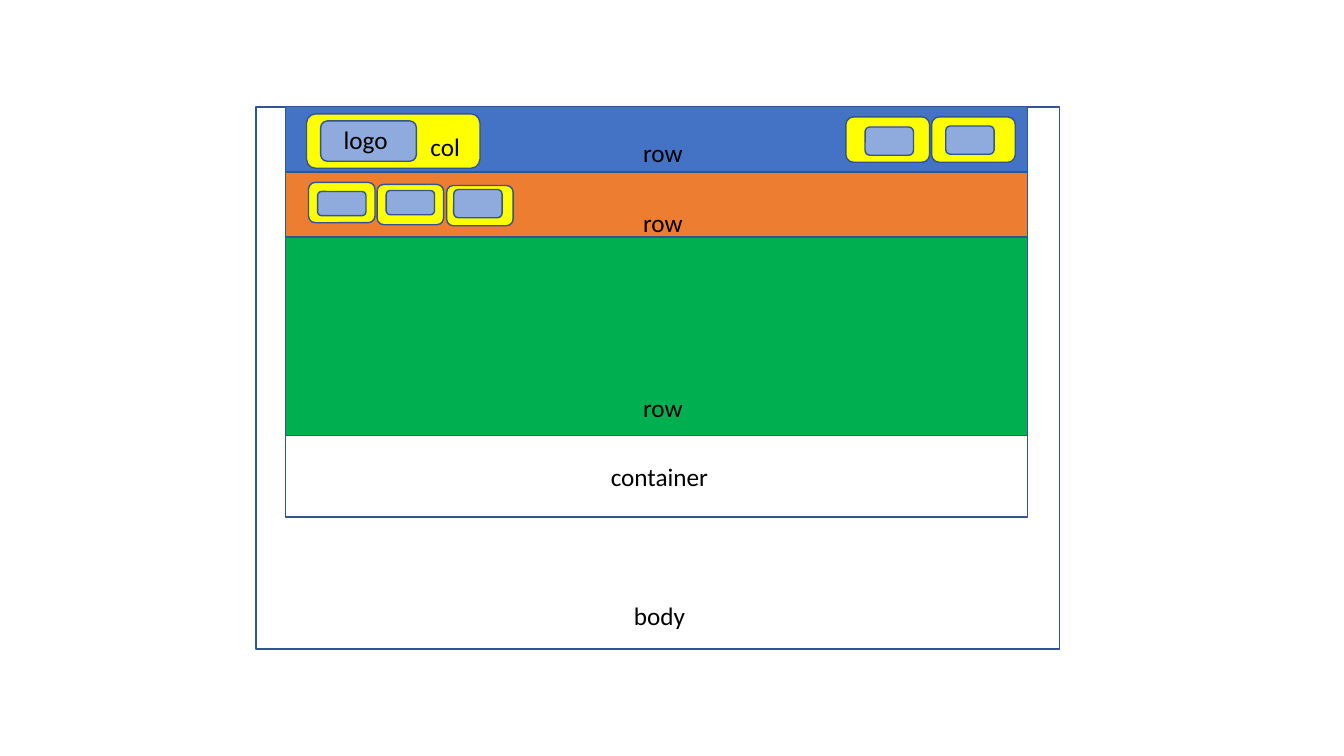
from dataclasses import dataclass

from pptx import Presentation
from pptx.dml.color import RGBColor
from pptx.enum.shapes import MSO_SHAPE
from pptx.enum.text import MSO_AUTO_SIZE, PP_ALIGN
from pptx.util import Inches, Pt


@dataclass(frozen=True)
class Theme:
    font: str = "Calibri"
    text_size: float = 18
    line_width: float = 1
    text: str = "000000"
    outline: str = "325491"
    header: str = "4472C4"
    navigation: str = "ED7D31"
    content: str = "00B050"
    column: str = "FFFF00"
    item: str = "8FAADC"


class LayoutSlide:
    def __init__(self, slide, theme):
        self.slide = slide
        self.theme = theme

    def box(self, left, top, width, height, fill=None, kind=MSO_SHAPE.RECTANGLE):
        shape = self.slide.shapes.add_shape(
            kind, Inches(left), Inches(top), Inches(width), Inches(height))
        shape.shadow.inherit = False
        if fill:
            shape.fill.solid()
            shape.fill.fore_color.rgb = RGBColor.from_string(fill)
        else:
            shape.fill.background()
        shape.line.color.rgb = RGBColor.from_string(self.theme.outline)
        shape.line.width = Pt(self.theme.line_width)

    def column(self, outer, inner):
        """Draw a rounded column with its item inside."""
        self.box(*outer, self.theme.column, MSO_SHAPE.ROUNDED_RECTANGLE)
        self.box(*inner, self.theme.item, MSO_SHAPE.ROUNDED_RECTANGLE)

    def label(self, text, left, top, width=0.76, align=PP_ALIGN.LEFT):
        shape = self.slide.shapes.add_textbox(
            Inches(left), Inches(top), Inches(width), Inches(0.4))
        frame = shape.text_frame
        frame.word_wrap = True
        frame.auto_size = MSO_AUTO_SIZE.SHAPE_TO_FIT_TEXT
        frame.text = text
        paragraph = frame.paragraphs[0]
        paragraph.alignment = align
        font = paragraph.runs[0].font
        font.name = self.theme.font
        font.size = Pt(self.theme.text_size)
        font.color.rgb = RGBColor.from_string(self.theme.text)


def main():
    presentation = Presentation()
    presentation.slide_width = Inches(13.33)
    presentation.slide_height = Inches(7.5)
    theme = Theme()
    blank_layout = presentation.slide_layouts[6]
    page = LayoutSlide(presentation.slides.add_slide(blank_layout), theme)

    container_left, page_top, container_width = 2.83, 1.06, 7.36
    page.box(2.54, page_top, 7.97, 5.38)
    page.box(container_left, page_top, container_width, 4.07)
    for text, top in (("body", 5.91), ("container", 4.53)):
        page.label(text, 5.88, top, 1.32, PP_ALIGN.CENTER)

    rows = (
        (page_top, 0.64, theme.header, 1.31),
        (2.35, 1.97, theme.content, 3.84),
        (1.71, 0.64, theme.navigation, 2.01),
    )
    for top, height, fill, label_top in rows:
        page.box(container_left, top, container_width, height, fill)
        page.label("row", 6.28, label_top)

    page.column((3.04, 1.13, 1.72, 0.54), (3.18, 1.2, 0.95, 0.4))
    page.label("logo", 3.31, 1.18)
    page.label("col", 4.17, 1.25)

    header_columns = ((8.39, 8.58, 1.26), (9.24, 9.38, 1.25))
    for left, item_left, item_top in header_columns:
        page.column((left, 1.16, 0.83, 0.45), (item_left, item_top, 0.48, 0.28))

    navigation_columns = (
        (4.43, 1.84, 4.5, 1.88, 0.28),
        (3.74, 1.83, 3.83, 1.89, 0.24),
        (3.06, 1.81, 3.15, 1.9, 0.24),
    )
    for left, top, item_left, item_top, item_height in navigation_columns:
        page.column((left, top, 0.66, 0.4),
                    (item_left, item_top, 0.48, item_height))

    presentation.save("out.pptx")


if __name__ == "__main__":
    main()
